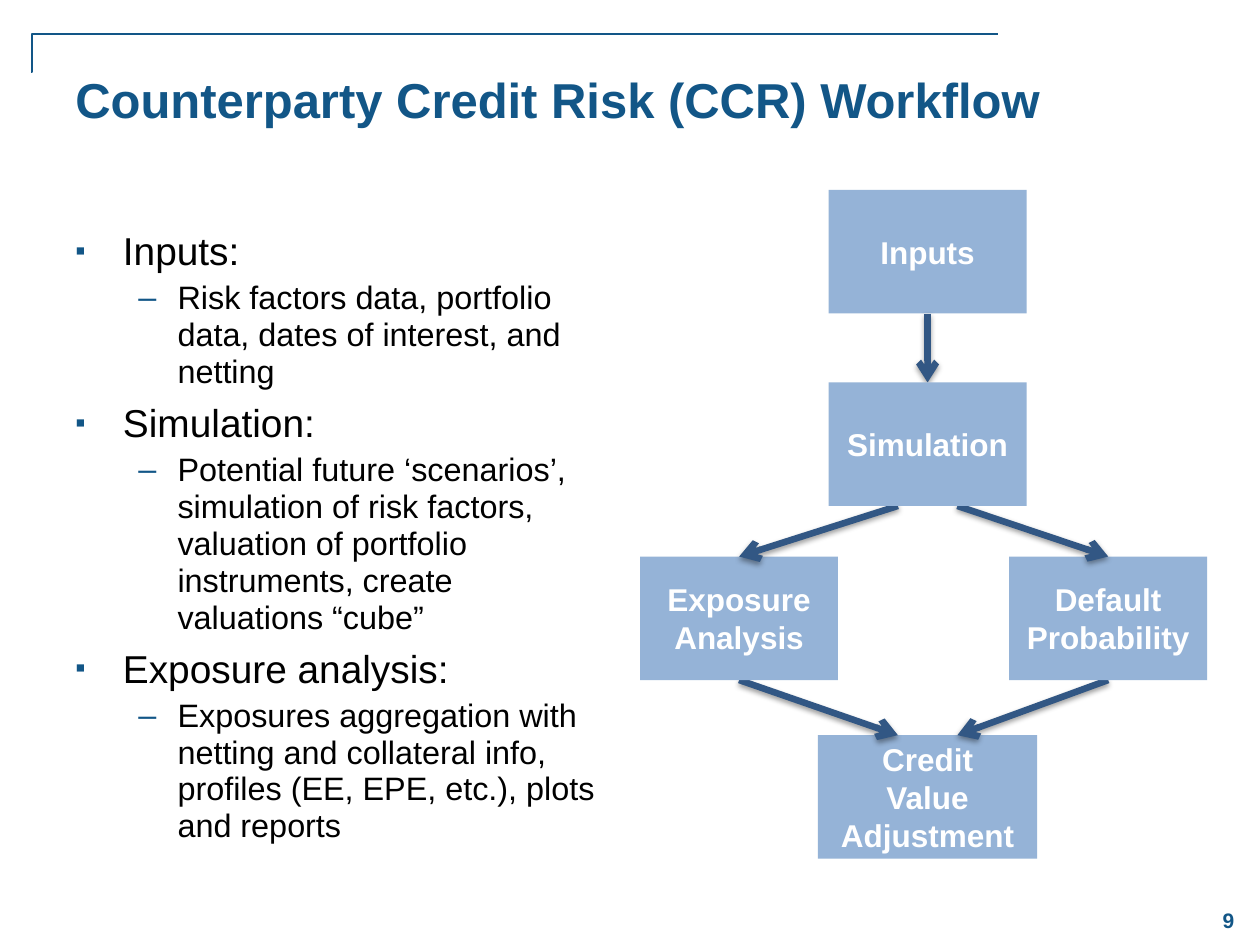
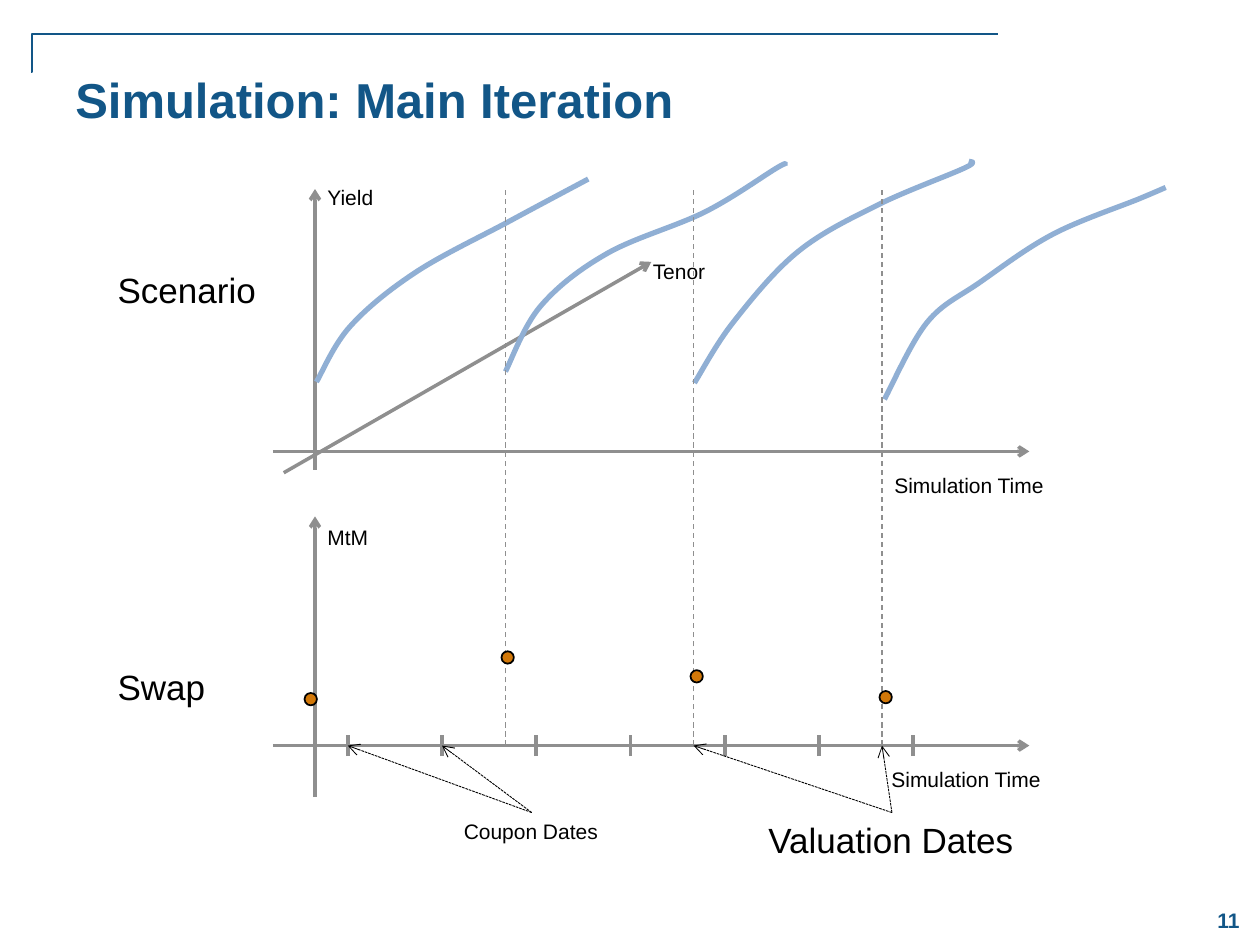
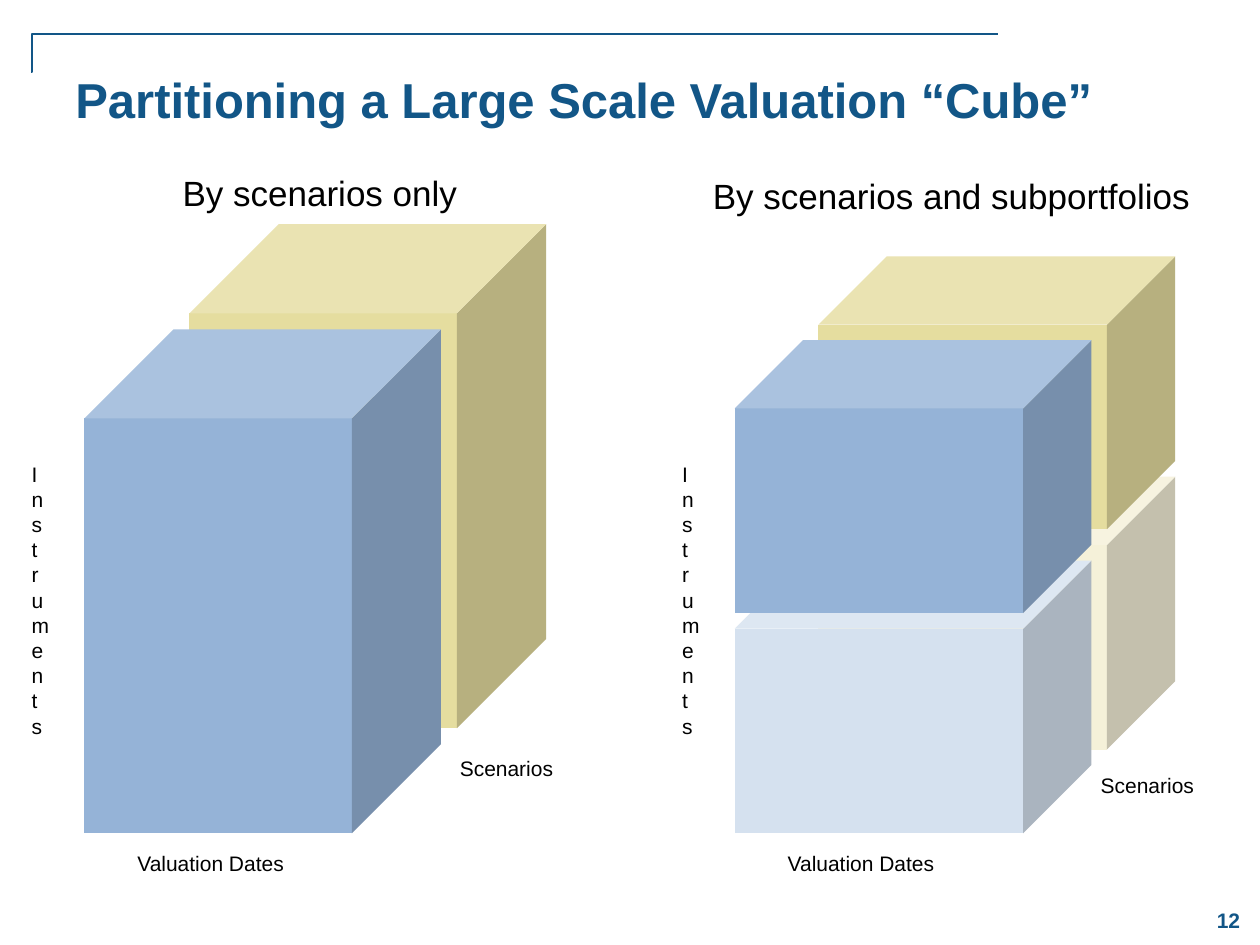
from dataclasses import dataclass

from lxml.etree import SubElement
from pptx import Presentation
from pptx.dml.color import RGBColor
from pptx.enum.dml import MSO_LINE
from pptx.enum.shapes import MSO_CONNECTOR, MSO_SHAPE
from pptx.enum.text import MSO_ANCHOR, PP_ALIGN
from pptx.oxml.ns import qn
from pptx.util import Cm, Pt


@dataclass(frozen=True)
class Theme:
    font: str = "Arial"
    brand: str = "125687"
    ink: str = "000000"
    paper: str = "FFFFFF"
    block: str = "95B3D7"
    block_pale: str = "D5E1EF"
    sand: str = "E5DD9F"
    sand_pale: str = "F5F1D9"
    flow: str = "325784"
    axis: str = "8F8F8F"
    curve: str = "90AFD4"
    dot: str = "D27809"
    title: float = 28
    topic: float = 22.2
    detail: float = 18.5
    block_text: float = 18
    heading: float = 20
    small: float = 12


THEME = Theme()


@dataclass(frozen=True)
class Box:
    """A region of the slide, in centimetres."""
    left: float
    top: float
    width: float
    height: float

    def inner(self, x, y, width, height):
        return Box(self.left + x, self.top + y, width, height)

    def point(self, x, y):
        return Cm(self.left + x), Cm(self.top + y)

    def lengths(self):
        return [Cm(v) for v in (self.left, self.top, self.width, self.height)]


def rgb(color):
    return RGBColor.from_string(color)


def add_run(paragraph, text, size, color=THEME.ink, bold=False):
    run = paragraph.add_run()
    run.text = text
    run.font.name = THEME.font
    run.font.size = Pt(size)
    run.font.bold = bold
    run.font.color.rgb = rgb(color)


def add_text(slide, box, text, size, color=THEME.ink, bold=False, wrap=True):
    frame = slide.shapes.add_textbox(*box.lengths()).text_frame
    frame.word_wrap = wrap
    add_run(frame.paragraphs[0], text, size, color, bold)
    return frame


def add_label(slide, box, x, y, width, text, size=THEME.small):
    height = 1.12 if size == THEME.heading else 0.76
    add_text(slide, box.inner(x, y, width, height), text, size, wrap=False)


def add_line(slide, start, end, color, weight, arrow=False, dash=None,
             shadow=False, kind=MSO_CONNECTOR.STRAIGHT):
    line = slide.shapes.add_connector(kind, *start, *end)
    line.line.color.rgb = rgb(color)
    line.line.width = Pt(weight)
    if dash:
        line.line.dash_style = dash
    if arrow:
        SubElement(line.line._get_or_add_ln(), qn("a:tailEnd"), type="arrow")
    effects = SubElement(line._element.spPr, qn("a:effectLst"))
    if shadow:
        outer = SubElement(effects, qn("a:outerShdw"), blurRad="40000",
                           dist="20000", dir="5400000", rotWithShape="0")
        black = SubElement(outer, qn("a:srgbClr"), val=THEME.ink)
        SubElement(black, qn("a:alpha"), val="38000")
    return line


def add_solid(slide, kind, box, color, outline=None):
    solid = slide.shapes.add_shape(kind, *box.lengths())
    solid.shadow.inherit = False
    solid.fill.solid()
    solid.fill.fore_color.rgb = rgb(color)
    if outline:
        solid.line.color.rgb = rgb(outline)
        solid.line.width = Pt(1)
    else:
        solid.line.fill.background()
    return solid


def add_base_slide(prs, title, number):
    """Blank slide with the corner rule, title and page number."""
    slide = prs.slides.add_slide(prs.slide_layouts[6])
    corner = add_line(slide, (Cm(20.12), Cm(0.69)), (Cm(0.63), Cm(1.45)),
                      THEME.brand, 1, kind=MSO_CONNECTOR.ELBOW)
    guides = corner._element.spPr.find(qn("a:prstGeom")).find(qn("a:avLst"))
    SubElement(guides, qn("a:gd"), name="adj1", fmla="val 99900")
    add_text(slide, Box(1.27, 1.27, 22.43, 2.74), title, THEME.title,
             THEME.brand, bold=True)
    page = add_text(slide, Box(24.13, 18.01, 1.27, 1.07), number, THEME.small,
                    THEME.brand, bold=True)
    page.vertical_anchor = MSO_ANCHOR.MIDDLE
    page.paragraphs[0].alignment = PP_ALIGN.CENTER
    return slide


def set_bullet(paragraph, char, margin, hanging, scale=100):
    props = paragraph._p.get_or_add_pPr()
    props.set("marL", str(Cm(margin)))
    props.set("indent", str(-Cm(hanging)))
    color = SubElement(props, qn("a:buClr"))
    SubElement(color, qn("a:srgbClr"), val=THEME.brand)
    SubElement(props, qn("a:buSzPct"), val=str(scale * 1000))
    SubElement(props, qn("a:buFont"), typeface=THEME.font)
    SubElement(props, qn("a:buChar"), char=char)


def add_topics(slide, box, topics):
    frame = slide.shapes.add_textbox(*box.lengths()).text_frame
    frame.word_wrap = True
    for i, (topic, detail) in enumerate(topics):
        head = frame.add_paragraph() if i else frame.paragraphs[0]
        set_bullet(head, "▪", 0.96, 0.96, 75)
        if i:
            head.space_before = Pt(0.2 * THEME.topic)
        add_run(head, topic, THEME.topic)
        body = frame.add_paragraph()
        set_bullet(body, "–", 2.06, 0.79)
        body.level = 1
        body.line_spacing = 0.95
        body.space_before = Pt(0.2 * THEME.detail)
        add_run(body, detail, THEME.detail)


def add_block(slide, box, center, top, lines, width=3.99):
    block = add_solid(slide, MSO_SHAPE.RECTANGLE,
                      box.inner(center - width / 2, top, width, 2.49), THEME.block)
    frame = block.text_frame
    frame.vertical_anchor = MSO_ANCHOR.MIDDLE
    for i, text in enumerate(lines):
        paragraph = frame.add_paragraph() if i else frame.paragraphs[0]
        paragraph.alignment = PP_ALIGN.CENTER
        add_run(paragraph, text, THEME.block_text, THEME.paper, bold=True)
    return block


def add_workflow(slide, box):
    """Blocks and arrows, layered so that blocks cover the arrows' starts."""
    middle, left, right, shift = 5.8, 2, 9.44, 0.6
    simulation_top, analysis_top, adjustment_top, height = 3.88, 7.39, 10.99, 2.49
    branches = ((left, -shift, ["Exposure", "Analysis"]),
                (right, shift, ["Default", "Probability"]))

    def arrow(start, end):
        return add_line(slide, box.point(*start), box.point(*end), THEME.flow,
                        3.75, arrow=True, shadow=True)

    add_block(slide, box, middle, adjustment_top,
              ["Credit", "Value", "Adjustment"], width=4.42)
    merges = [arrow((center, analysis_top + height), (middle + side, adjustment_top))
              for center, side, _ in branches]
    inputs = add_block(slide, box, middle, 0, ["Inputs"])
    for merge, (center, side, lines) in zip(merges, branches):
        branch = add_block(slide, box, center, analysis_top, lines)
        merge.begin_connect(branch, 2)
        split = arrow((middle + side, simulation_top + height), (center, analysis_top))
        split.end_connect(branch, 0)
    feed = arrow((middle, height), (middle, simulation_top))
    feed.begin_connect(inputs, 2)
    simulation = add_block(slide, box, middle, simulation_top, ["Simulation"])
    feed.end_connect(simulation, 0)


def bend_segments(outline):
    """Turn the straight segments into one smooth curve through their ends."""
    points = list(outline.iter(qn("a:pt")))
    knots = [(int(p.get("x")), int(p.get("y"))) for p in points]
    padded = [knots[0], *knots, knots[-1]]
    segments = list(outline.iter(qn("a:lnTo")))
    for segment, a, b, c, d in zip(segments, padded, padded[1:], padded[2:], padded[3:]):
        segment.tag = qn("a:cubicBezTo")
        leave = [q + (r - p) / 6 for p, q, r in zip(a, b, c)]
        arrive = [q - (r - p) / 6 for p, q, r in zip(b, c, d)]
        for i, (x, y) in enumerate((leave, arrive)):
            handle = SubElement(segment, qn("a:pt"), x=str(round(x)), y=str(round(y)))
            segment.insert(i, handle)


def add_yield_curve(slide, box, knots):
    start, *rest = [box.point(*knot) for knot in knots]
    builder = slide.shapes.build_freeform(*start)
    builder.add_line_segments(rest, close=False)
    curve = builder.convert_to_shape()
    bend_segments(curve._element.spPr)
    curve.shadow.inherit = False
    curve.fill.background()
    curve.line.color.rgb = rgb(THEME.curve)
    curve.line.width = Pt(3)


YIELD_CURVES = [
    [(0.88, 4.45), (1.56, 3.33), (2.88, 2.24), (4.79, 1.2), (6.36, 0.36)],
    [(4.69, 4.24), (5.4, 2.92), (6.74, 1.86), (8.72, 1.02), (10.17, 0.13),
     (10.32, 0.08)],
    [(8.5, 4.47), (9.28, 3.25), (10.58, 1.83), (12.18, 0.89), (13.96, 0.13),
     (14.03, 0)],
    [(12.33, 4.8), (13.19, 3.25), (14.26, 2.44), (15.73, 1.47), (17.46, 0.76),
     (18, 0.53)],
]


def add_iteration_diagram(slide, box):
    origin_x, axis_top, time_y = 0.85, 0.56, 11.78
    dates = [4.69, 8.48, 12.28]
    coupons = [1.51 + 1.9 * i for i in range(7)]

    def line(start, end, color=THEME.axis, weight=2, **style):
        add_line(slide, box.point(*start), box.point(*end), color, weight, **style)

    line((0.22, 6.28), (7.63, 2.03), arrow=True)
    add_label(slide, box, 7.41, 1.83, 1.57, "Tenor")
    panels = (("Yield", 1.45, 0.35, axis_top, 5.85, 12.28),
              ("MtM", 1.35, 7.19, 7.16, time_y, 12.22))
    for name, width, name_y, top, base, time_x in panels:
        line((0, base), (15.25, base), arrow=True)
        line((origin_x, top + 5.66), (origin_x, top), arrow=True)
        add_label(slide, box, origin_x, name_y, width, name)
        add_label(slide, box, time_x, base + 0.3, 3.56, "Simulation Time")
    for knots in YIELD_CURVES:
        add_yield_curve(slide, box, knots)
    for x in dates:
        line((x, time_y), (x, axis_top), weight=0.75, dash=MSO_LINE.DASH)
    for x in coupons:
        line((x, time_y + 0.21), (x, time_y - 0.21))
    for source, targets in ((5.22, coupons[:2]), (12.48, dates[1:])):
        for x in targets:
            line((source, 13.13), (x, time_y), THEME.ink, 0.5, arrow=True,
                 dash=MSO_LINE.SQUARE_DOT)
    add_label(slide, box, 3.6, 13.13, 3.23, "Coupon Dates")
    add_label(slide, box, 9.74, 13.13, 5.49, "Valuation Dates", THEME.heading)
    for x, y in ((0.64, 10.72), (4.61, 9.88), (8.42, 10.26), (12.23, 10.68)):
        add_solid(slide, MSO_SHAPE.OVAL, box.inner(x, y, 0.25, 0.25),
                  THEME.dot, THEME.ink)


def add_cube_panel(slide, box, heading, scenarios_at, tier_height, depth, tiers):
    """Stacked cubes, each tier (from the bottom) a front and a back colour."""
    heading_x, heading_y, heading_width, text = heading
    add_label(slide, box, heading_x, heading_y, heading_width, text, THEME.heading)
    for side, shift in ((1, depth), (0, 0)):
        for level, colors in enumerate(tiers):
            top = 13.47 - tier_height - 4.44 * level - shift
            add_solid(slide, MSO_SHAPE.CUBE,
                      box.inner(1.06 + shift, top, 7.19, tier_height), colors[side])
    stacked = add_text(slide, box.inner(0, 5.84, 0.2, 5.89), "Instruments", THEME.small)
    stacked.margin_left = stacked.margin_right = 0
    add_label(slide, box, 1.88, 13.69, 3.48, "Valuation Dates")
    add_label(slide, box, *scenarios_at, 2.41, "Scenarios")


def main():
    prs = Presentation()
    prs.slide_width, prs.slide_height = Cm(25.4), Cm(19.05)

    workflow = add_base_slide(prs, "Counterparty Credit Risk (CCR) Workflow", "9")
    add_topics(workflow, Box(1.27, 4.45, 11.15, 12.9), [
        ("Inputs:",
         "Risk factors data, portfolio data, dates of interest, and netting"),
        ("Simulation:",
         "Potential future ‘scenarios’, simulation of risk factors, valuation of "
         "portfolio instruments, create valuations “cube”"),
        ("Exposure analysis:",
         "Exposures aggregation with netting and collateral info, profiles "
         "(EE, EPE, etc.), plots and reports"),
    ])
    add_workflow(workflow, Box(12.9, 3.83, 11.44, 13.48))

    iteration = add_base_slide(prs, "Simulation: Main Iteration", "11")
    rows = Box(2.12, 5.28, 3.4, 9.2)
    add_label(iteration, rows, 0, 0, 3.33, "Scenario", THEME.heading)
    add_label(iteration, rows, 0, 8.02, 2.29, "Swap", THEME.heading)
    add_iteration_diagram(iteration, Box(5.5, 3.25, 18, 14.25))

    cubes = add_base_slide(prs, "Partitioning a Large Scale Valuation “Cube”", "12")
    blue_sand = (THEME.block, THEME.sand)
    pale = (THEME.block_pale, THEME.sand_pale)
    add_cube_panel(cubes, Box(0.64, 3.33, 10.8, 14.45),
                   (2.79, 0, 6.1, "By scenarios only"), (8.38, 11.78),
                   10.16, 2.12, [blue_sand])
    add_cube_panel(cubes, Box(13.75, 3.33, 10.8, 14.45),
                   (0.37, 0.06, 10.21, "By scenarios and subportfolios"),
                   (8.19, 12.11), 5.5, 1.69, [pale, blue_sand])

    prs.save("out.pptx")


if __name__ == "__main__":
    main()
